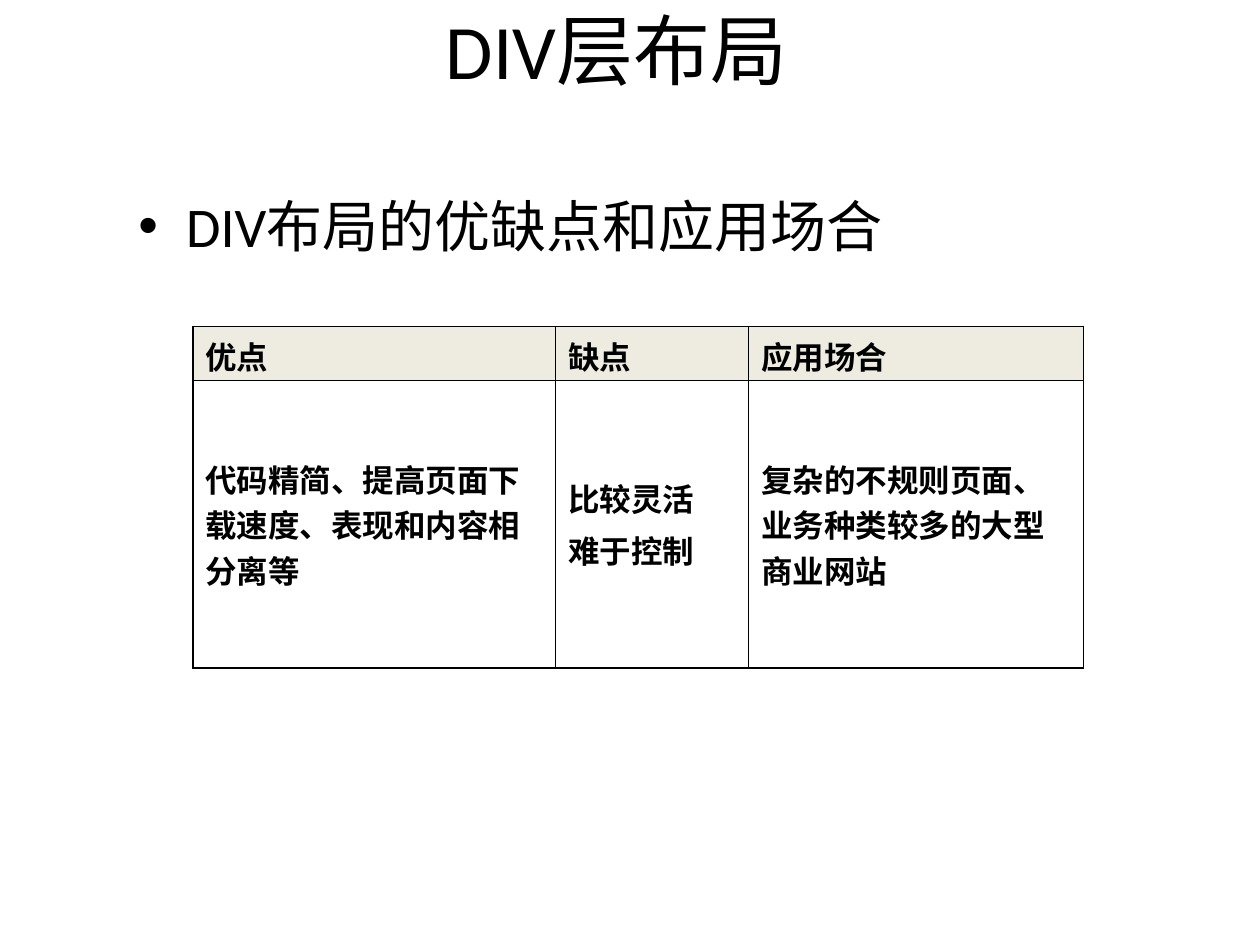
from lxml import etree
from pptx import Presentation
from pptx.dml.color import RGBColor
from pptx.enum.text import MSO_ANCHOR, PP_ALIGN
from pptx.oxml.ns import qn
from pptx.util import Inches, Pt

TOP, MIDDLE = MSO_ANCHOR.TOP, MSO_ANCHOR.MIDDLE
LEFT, CENTER = PP_ALIGN.LEFT, PP_ALIGN.CENTER
CJK_FONT = "Noto Sans CJK SC"
BLACK, CREAM, WHITE = "000000", "EEECE1", "FFFFFF"


def color(value):
    return RGBColor.from_string(value)


def write(frame, lines, anchor, align, before, font):
    """Fill a text frame, one paragraph per line."""
    frame.word_wrap = True
    frame.vertical_anchor = anchor
    for index, line in enumerate(lines):
        para = frame.add_paragraph() if index else frame.paragraphs[0]
        para.alignment = align
        para.space_before = Pt(before)
        span = para.add_run()
        span.text = line
        for name, value in font.items():
            setattr(span.font, name, value)
        span.font.color.rgb = color(BLACK)
        east_asian = etree.SubElement(span.font._element, qn("a:ea"))
        east_asian.set("typeface", CJK_FONT)


deck = Presentation()
deck.slide_width, deck.slide_height = Inches(10), Inches(7.5)
page = deck.slides.add_slide(deck.slide_layouts[6])

# Title
title = page.shapes.add_textbox(Inches(1.25), Inches(-0.22), Inches(7.29), Inches(1.21))
write(title.text_frame, ["DIV层布局"], MIDDLE, CENTER, 0,
      {"size": Pt(44), "name": "Calibri"})

# Comparison table
columns, rows = [2.88, 1.53, 2.66], [0.43, 2.28]
content = [
    [["优点"], ["缺点"], ["应用场合"]],
    [["代码精简、提高页面下载速度、表现和内容相分离等"],
     ["比较灵活", "难于控制"],
     ["复杂的不规则页面、业务种类较多的大型商业网站"]],
]
table = page.shapes.add_table(len(rows), len(columns), Inches(1.53), Inches(2.59),
                              Inches(sum(columns)), Inches(sum(rows))).table
for column, width in zip(table.columns, columns):
    column.width = Inches(width)
for row, height in zip(table.rows, rows):
    row.height = Inches(height)

row_styles = [(CREAM, TOP), (WHITE, MIDDLE)]
for r, (fill, anchor) in enumerate(row_styles):
    for c, lines in enumerate(content[r]):
        cell = table.cell(r, c)
        font_name = "Arial" if r and len(lines) == 1 else CJK_FONT
        write(cell.text_frame, lines, TOP, LEFT, 3.6,
              {"size": Pt(18), "bold": True, "name": font_name})
        cell.vertical_anchor = anchor
        # Borders come ahead of the fill in the cell properties
        properties = cell._tc.get_or_add_tcPr()
        for side in ("lnL", "lnR", "lnT", "lnB"):
            line = etree.SubElement(properties, qn(f"a:{side}"), w=str(Pt(1)))
            solid = etree.SubElement(line, qn("a:solidFill"))
            etree.SubElement(solid, qn("a:srgbClr"), val=BLACK)
        cell.fill.solid()
        cell.fill.fore_color.rgb = color(fill)

# Bulleted heading
body = page.shapes.add_textbox(Inches(1), Inches(1.47), Inches(9), Inches(4.95))
write(body.text_frame, ["DIV布局的优缺点和应用场合"], TOP, LEFT, 6.4,
      {"size": Pt(32), "name": "Calibri"})
bullet = body.text_frame.paragraphs[0]._p.get_or_add_pPr()
bullet.set("marL", str(Inches(0.38)))
bullet.set("indent", str(-Inches(0.38)))
etree.SubElement(bullet, qn("a:buFont"), typeface="Arial")
etree.SubElement(bullet, qn("a:buChar"), char="•")

deck.save("out.pptx")
